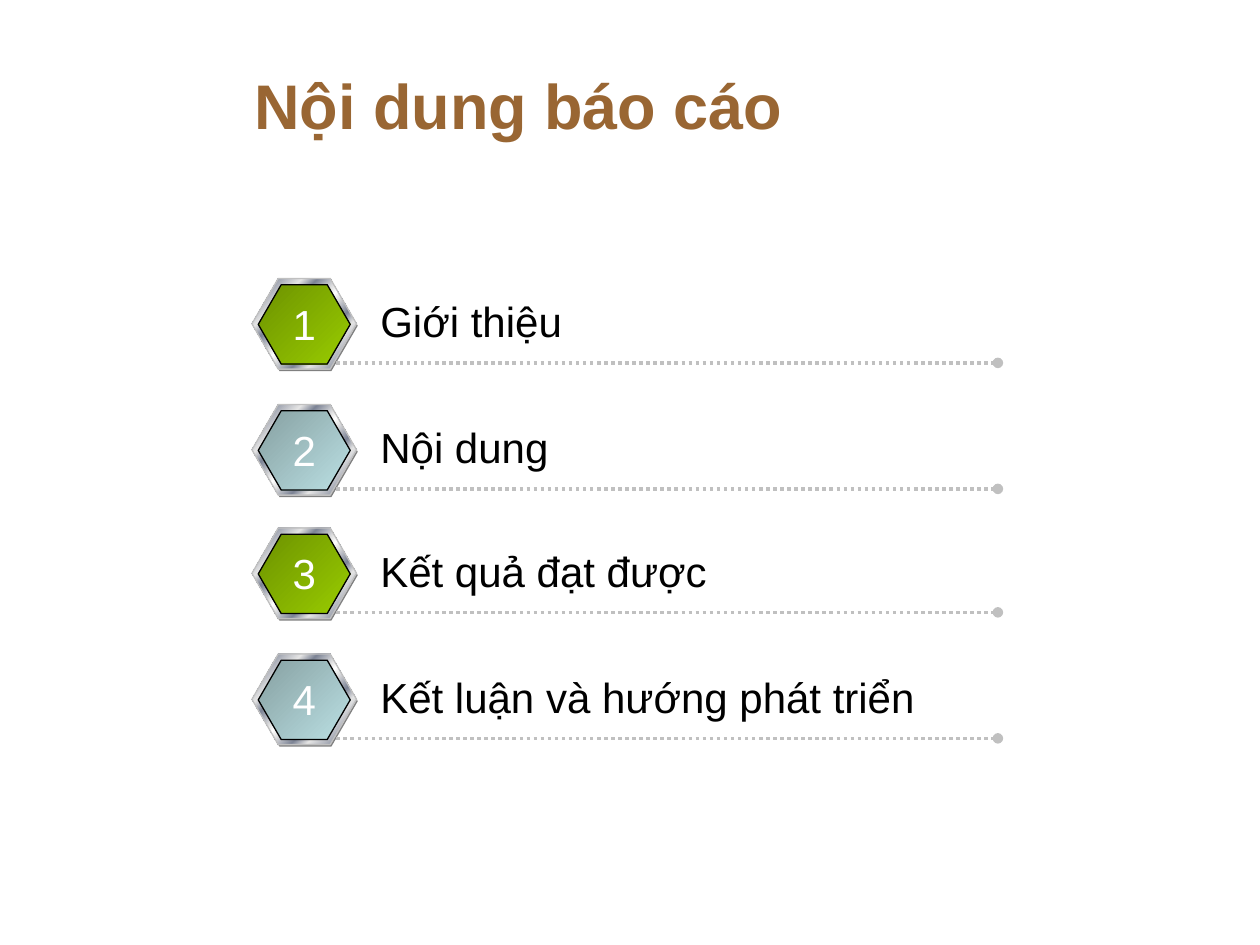
from dataclasses import dataclass

from lxml import etree
from pptx import Presentation
from pptx.dml.color import RGBColor
from pptx.enum.dml import MSO_LINE
from pptx.enum.shapes import MSO_CONNECTOR, MSO_SHAPE
from pptx.enum.text import MSO_ANCHOR, MSO_AUTO_SIZE, PP_ALIGN
from pptx.oxml.ns import qn
from pptx.util import Inches, Pt

HEXAGON = MSO_SHAPE.HEXAGON
STRAIGHT = MSO_CONNECTOR.STRAIGHT
DOTTED = MSO_LINE.ROUND_DOT
LEFT, CENTER = PP_ALIGN.LEFT, PP_ALIGN.CENTER
TOP, MIDDLE = MSO_ANCHOR.TOP, MSO_ANCHOR.MIDDLE
FIT_SHAPE, NO_FIT = MSO_AUTO_SIZE.SHAPE_TO_FIT_TEXT, MSO_AUTO_SIZE.NONE

FONT = "Arial"
SILVER = "C0C0C0"
GREEN = [(0, "6D9200"), (100, "99CC00")]
TEAL = [(0, "86A0A2"), (100, "BBE0E3")]
METAL = [(0, "E6E6E6"), (8, "7D8496"), (26, "E6E6E6"), (34, "7D8496"),
         (46, "E6E6E6"), (50, "FFFFFF"), (54, "E6E6E6"), (66, "7D8496"),
         (74, "E6E6E6"), (92, "7D8496"), (100, "E6E6E6")]


@dataclass
class Item:
    number: int
    label: str
    top: float
    stops: list[tuple[int, str]]


ITEMS = [
    Item(1, "Giới thiệu", 2.21, GREEN),
    Item(2, "Nội dung", 3.21, TEAL),
    Item(3, "Kết quả đạt được", 4.19, GREEN),
    Item(4, "Kết luận và hướng phát triển", 5.19, TEAL),
]


def color(value: str) -> RGBColor:
    return RGBColor.from_string(value)


def add_text(slide, text: str, left: float, top: float, width: float, height: float, *,
             size: int = 24, fg: str = "000000", bold: bool = False, align=LEFT,
             anchor=TOP, wrap: bool = True, fit=FIT_SHAPE) -> None:
    sp = slide.shapes.add_textbox(Inches(left), Inches(top), Inches(width), Inches(height))
    tf = sp.text_frame
    tf.word_wrap = wrap
    tf.auto_size = fit
    tf.vertical_anchor = anchor
    p = tf.paragraphs[0]
    p.alignment = align
    r = p.add_run()
    r.text = text
    r.font.name = FONT
    r.font.size = Pt(size)
    r.font.bold = bold
    r.font.color.rgb = color(fg)


def set_gradient(sp, stops: list[tuple[int, str]]) -> None:
    sp.fill.gradient()
    sp.fill.gradient_angle = 315  # counter-clockwise: runs to the lower right
    gs_list = sp._element.spPr.find(qn("a:gradFill")).find(qn("a:gsLst"))
    for gs in list(gs_list):
        gs_list.remove(gs)
    for position, value in stops:
        gs = etree.SubElement(gs_list, qn("a:gs"), pos=str(position * 1000))
        etree.SubElement(gs, qn("a:srgbClr"), val=value)


def add_hexagon(shapes, left: float, top: float, width: float, height: float,
                fill: str | list[tuple[int, str]], line: str | None = None) -> None:
    sp = shapes.add_shape(HEXAGON, Inches(left), Inches(top), Inches(width), Inches(height))
    sp.shadow.inherit = False
    sp.adjustments[0] = 0.29
    if isinstance(fill, str):
        sp.fill.solid()
        sp.fill.fore_color.rgb = color(fill)
    else:
        set_gradient(sp, fill)
    if line:
        sp.line.color.rgb = color(line)
        sp.line.width = Pt(0.75)
    else:
        sp.line.fill.background()


def add_dotted_line(slide, left: float, right: float, y: float) -> None:
    cn = slide.shapes.add_connector(STRAIGHT, Inches(left), Inches(y), Inches(right), Inches(y))
    cn.line.color.rgb = color(SILVER)
    cn.line.width = Pt(2)
    cn.line.dash_style = DOTTED
    etree.SubElement(cn.line._get_or_add_ln(), qn("a:tailEnd"), type="oval")
    etree.SubElement(cn._element.spPr, qn("a:effectLst"))


def add_item(slide, item: Item) -> None:
    # Badge: shade, metal rim, coloured face
    badge = slide.shapes.add_group_shape().shapes
    add_hexagon(badge, 2.01, item.top + 0.015, 0.83, 0.72, "808080")
    add_hexagon(badge, 2, item.top, 0.83, 0.72, METAL, SILVER)
    add_hexagon(badge, 2.05, item.top + 0.05, 0.73, 0.63, item.stops, "000000")
    # Rule, label and number
    add_dotted_line(slide, 2.67, 7.92, item.top + 0.67)
    add_text(slide, item.label, 2.92, item.top + 0.09, 4.92, 0.5)
    add_text(slide, str(item.number), 2.22, item.top + 0.11, 0.39, 0.5,
             fg="FFFFFF", align=CENTER, wrap=False)


def main() -> None:
    prs = Presentation()
    prs.slide_width, prs.slide_height = Inches(10), Inches(7.5)
    slide = prs.slides.add_slide(prs.slide_layouts[6])

    # Title
    add_text(slide, "Nội dung báo cáo", 1.92, 0.31, 7.75, 1.03,
             size=36, fg="996633", bold=True, anchor=MIDDLE, fit=NO_FIT)

    # Agenda
    for item in ITEMS:
        add_item(slide, item)

    prs.save("out.pptx")


if __name__ == "__main__":
    main()
